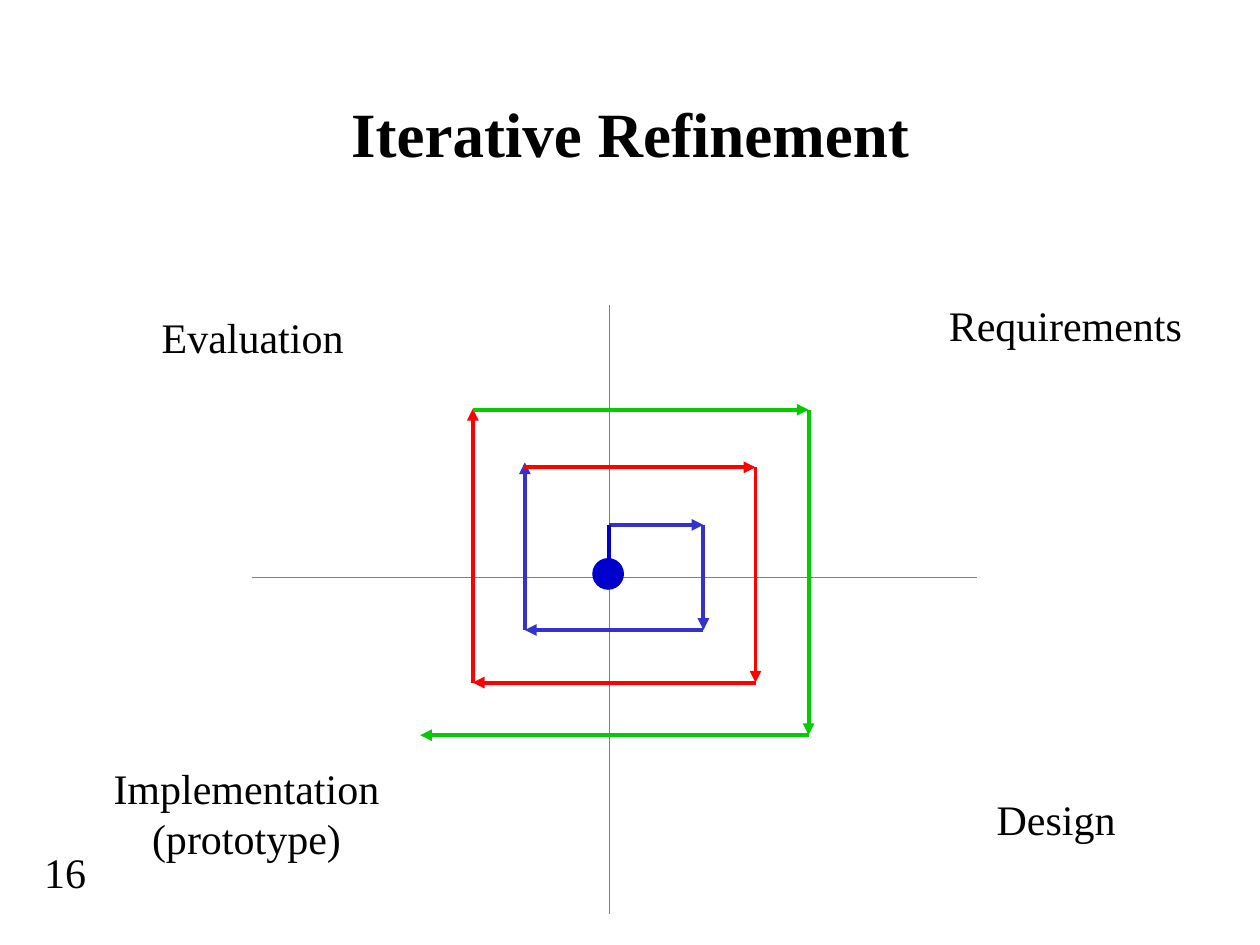
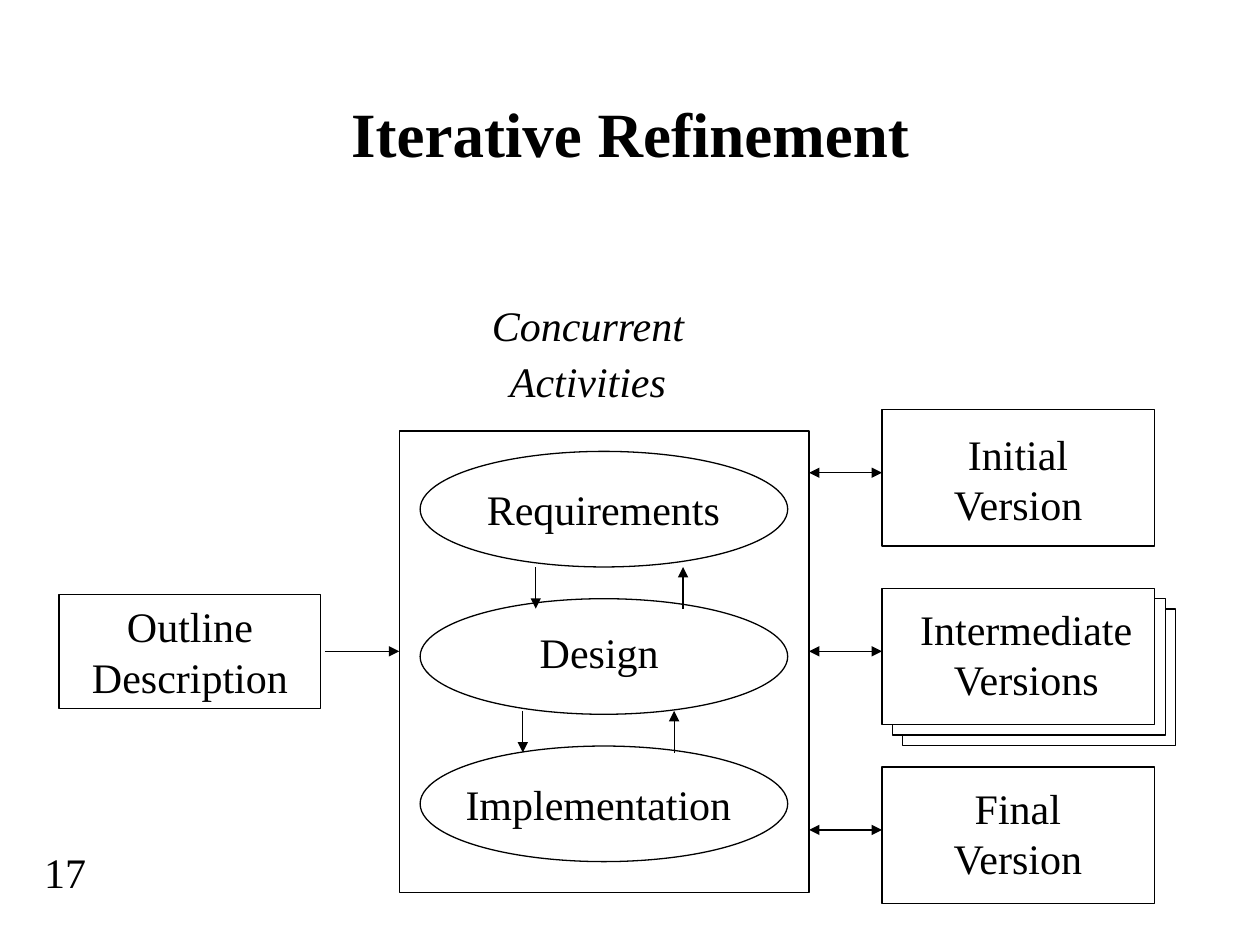
"""Build two slides on iterative refinement: a spiral and a process diagram."""
from itertools import pairwise

from lxml import etree
from pptx import Presentation
from pptx import util as u
from pptx.dml.color import RGBColor
from pptx.enum import shapes, text
from pptx.oxml.ns import qn

BLACK, WHITE, GREY = "000000", "FFFFFF", "808080"
BLUE, RED, GREEN, NAVY = "3333CC", "FF0000", "00CC00", "0000CC"
FONT = "Times New Roman"
RECT, OVAL = shapes.MSO_SHAPE.RECTANGLE, shapes.MSO_SHAPE.OVAL


def add(s, box, words="", kind=None, fill=None, line=BLACK, size=24, bold=False,
        italic=False, align="CENTER", anchor="TOP", gap=0):
    """Add a text box, a preset shape or the title, with its text and format."""
    left, top, width, height = [u.Cm(v) for v in box]
    if kind == "title":
        sp = s.shapes.title
        sp.left, sp.top, sp.width, sp.height = left, top, width, height
    elif kind is None:
        sp = s.shapes.add_textbox(left, top, width, height)
    else:
        sp = s.shapes.add_shape(kind, left, top, width, height)
        sp.shadow.inherit = False
        if fill:
            sp.fill.solid()
            sp.fill.fore_color.rgb = RGBColor.from_string(fill)
        else:
            sp.fill.background()
        if line:
            sp.line.color.rgb = RGBColor.from_string(line)
            sp.line.width = u.Pt(0.75)
        else:
            sp.line.fill.background()
    if not words:
        return
    tf = sp.text_frame
    tf.word_wrap = True
    tf.auto_size = text.MSO_AUTO_SIZE.NONE
    tf.vertical_anchor = text.MSO_ANCHOR[anchor]
    for i, row in enumerate(words.split("\n")):
        p = tf.add_paragraph() if i else tf.paragraphs[0]
        p.alignment = text.PP_ALIGN[align]
        p.space_before = u.Pt(gap if i else 0)
        r = p.add_run()
        r.text = row
        r.font.name, r.font.size = FONT, u.Pt(size)
        r.font.bold, r.font.italic = bold, italic
        r.font.color.rgb = RGBColor.from_string(BLACK)


def connect(s, start, end, color=BLACK, width=0.75, ends=("tail",)):
    """Draw a straight line with triangles at the given ends."""
    c = s.shapes.add_connector(shapes.MSO_CONNECTOR.STRAIGHT,
                               *[u.Cm(v) for v in (*start, *end)])
    c.line.color.rgb = RGBColor.from_string(color)
    c.line.width = u.Pt(width)
    ln = c.line._get_or_add_ln()
    for e in ends:
        etree.SubElement(ln, qn(f"a:{e}End"), type="triangle")
    etree.SubElement(c._element.spPr, qn("a:effectLst"))


prs = Presentation()
prs.slide_width, prs.slide_height = u.Cm(25.4), u.Cm(19.05)

for number in (16, 17):
    s = prs.slides.add_slide(prs.slide_layouts[5])
    add(s, (0.64, 16.94, 2.74, 1.27), str(number), align="LEFT")
    add(s, (1.91, 1.07, 21.59, 3.18), "Iterative Refinement", "title",
        size=36, bold=True, anchor="MIDDLE")
spiral, process = prs.slides

connect(spiral, (12.28, 6.15), (12.28, 18.42), GREY, ends=())
connect(spiral, (5.08, 11.64), (19.69, 11.64), GREY, ends=())
for words, box in (
    ("Requirements", (18.62, 5.92, 5.72, 1.27)),
    ("Design", (18.85, 15.88, 4.88, 1.27)),
    ("Implementation\n(prototype)", (1.48, 15.24, 6.98, 2.29)),
    ("Evaluation", (2.34, 6.15, 5.51, 1.27)),
):
    add(spiral, box, words)

turns = (
    (BLUE, [(12.28, 10.58), (14.18, 10.58), (14.18, 12.7), (10.58, 12.7), (10.58, 9.32)]),
    (RED, [(10.54, 9.42), (15.23, 9.42), (15.23, 13.76), (9.53, 13.76), (9.53, 8.24)]),
    (GREEN, [(9.53, 8.26), (16.3, 8.26), (16.3, 14.82), (8.47, 14.82)]),
)
for color, corners in turns:
    for start, end in pairwise(corners):
        connect(spiral, start, end, color, 2.25)
add(spiral, (11.94, 11.25, 0.64, 0.64), kind=OVAL, fill=NAVY, line=None)
connect(spiral, (12.28, 11.43), (12.28, 10.58), NAVY, 2.25, ends=())

for shift in (0.42, 0.21):
    add(process, (17.78 + shift, 11.86 + shift, 5.5, 2.75), kind=RECT, fill=WHITE)
add(process, (1.19, 11.99, 5.28, 2.29), "Outline\nDescription", RECT)
add(process, (8.05, 8.69, 8.26, 9.31), kind=RECT)
add(process, (8.26, 5.92, 7.19, 2.39), "Concurrent\nActivities", italic=True, gap=3)

activities = (
    ("Requirements", (8.89, 9.63, 6.55, 1.27)),
    ("Design", (8.69, 12.5, 6.78, 1.27)),
    ("Implementation", (8.89, 15.57, 6.35, 1.27)),
)
for i, (words, box) in enumerate(activities):
    add(process, (8.47, 9.1 + 2.97 * i, 7.41, 2.33), kind=OVAL)
    add(process, box, words)

versions = (
    ("Initial\nVersion", (17.35, 8.51, 6.35, 2.29)),
    ("Intermediate\nVersions", (17.3, 12.04, 6.78, 2.29)),
    ("Final\nVersion", (17.98, 15.65, 5.08, 2.29)),
)
for i, (words, box) in enumerate(versions):
    add(process, (17.78, 8.26 + 3.6 * i, 5.5, 2.75), kind=RECT, fill=WHITE)
    add(process, box, words)
    y = 9.53 + 3.6 * i
    connect(process, (16.31, y), (17.78, y), ends=("head", "tail"))

connect(process, (6.55, 13.13), (8.05, 13.13))
for down, up, top in ((10.8, 13.77, 11.43), (10.54, 13.59, 14.33)):
    connect(process, (down, top), (down, top + 0.84))
    connect(process, (up, top), (up, top + 0.84), ends=("head",))

prs.save("out.pptx")
